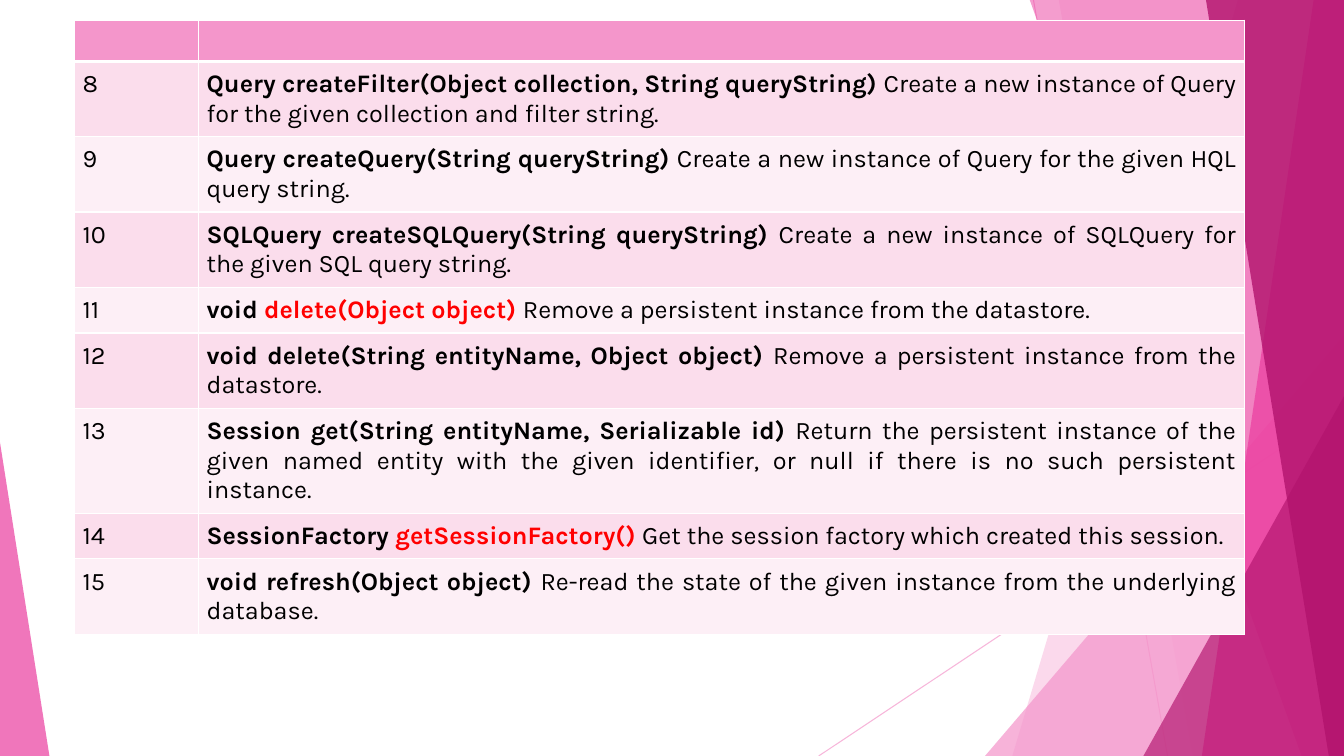
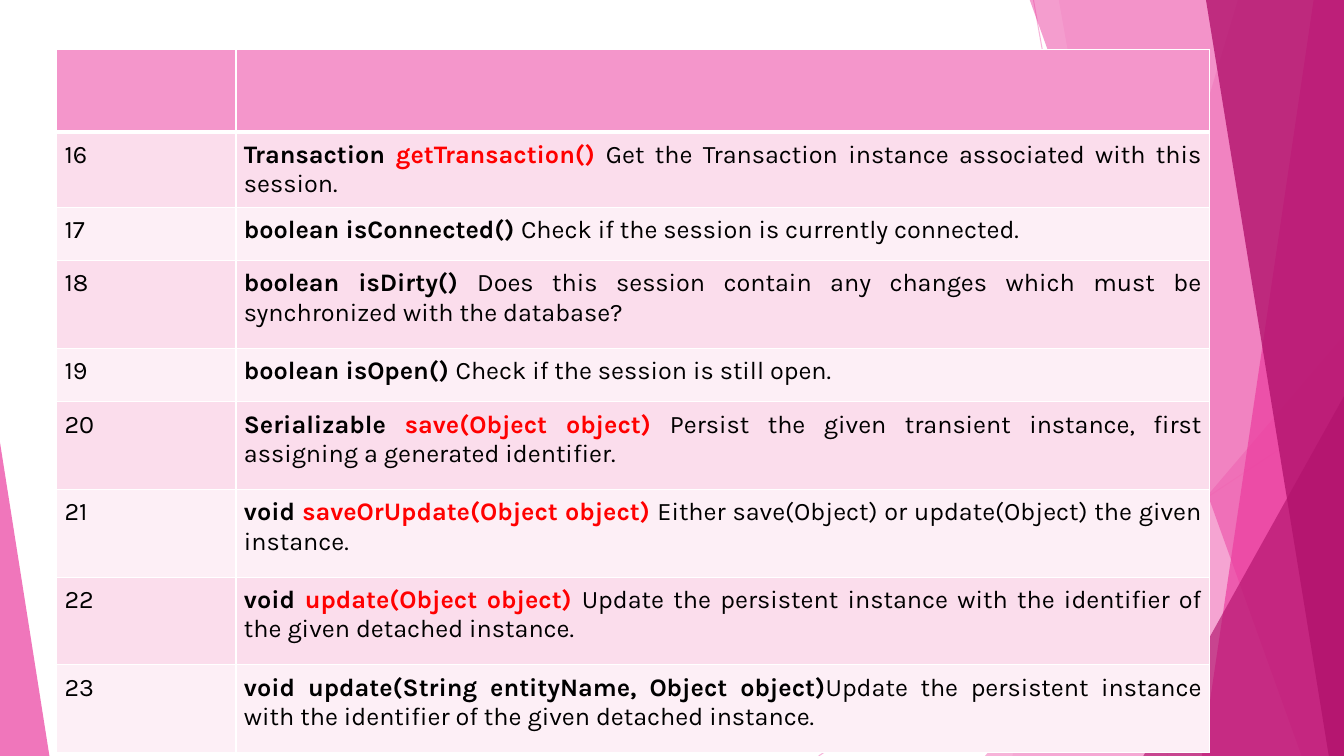
import pptx
import pptx.dml.color
import pptx.enum.shapes
import pptx.enum.text
import pptx.oxml.ns
import pptx.util
from lxml import etree

Inches = pptx.util.Inches
Pt = pptx.util.Pt
RGBColor = pptx.dml.color.RGBColor
qn = pptx.oxml.ns.qn

# Shared style
WHITE = RGBColor(0xFF, 0xFF, 0xFF)
BLACK = RGBColor(0, 0, 0)
RED = RGBColor(0xFF, 0, 0)
PINK = RGBColor(0xF4, 0x96, 0xCB)
ROSE = RGBColor(0xEB, 0x3D, 0x9F)
MAGENTA = RGBColor(0xB2, 0x13, 0x6D)
BAND_DARK = RGBColor(0xFB, 0xDD, 0xEC)
BAND_LIGHT = RGBColor(0xFD, 0xEF, 0xF6)
FONT = "Karla"
TEXT_SIZE = Pt(18)
CELL_MARGIN = Inches(0.08)
WIDTH, HEIGHT = 13.33, 7.5


class Deck:
    def __init__(self):
        self.presentation = pptx.Presentation()
        self.presentation.slide_width = Inches(WIDTH)
        self.presentation.slide_height = Inches(HEIGHT)
        self.slide = None

    def add_slide(self):
        self.slide = self.presentation.slides.add_slide(self.presentation.slide_layouts[6])
        self.slide.background.fill.solid()
        self.slide.background.fill.fore_color.rgb = WHITE
        self.decorate()

    def set_opacity(self, shape, percent):
        for color in shape.element.spPr.iter(qn("a:srgbClr")):
            etree.SubElement(color, qn("a:alpha"), val=str(percent * 1000))

    def paint(self, shape, color, opacity):
        shape.shadow.inherit = False
        shape.fill.solid()
        shape.fill.fore_color.rgb = color
        shape.line.fill.background()
        self.set_opacity(shape, opacity)

    def line(self, start_x, start_y, end_x, end_y):
        connector = self.slide.shapes.add_connector(
            pptx.enum.shapes.MSO_CONNECTOR.STRAIGHT,
            Inches(start_x), Inches(start_y), Inches(end_x), Inches(end_y))
        connector.line.color.rgb = PINK
        connector.line.width = Pt(0.75)
        self.set_opacity(connector, 70)
        etree.SubElement(connector.element.spPr, qn("a:effectLst"))

    def panel(self, top_x, bottom_x, color, opacity):
        """Full-height panel with a slanted left edge."""
        top, bottom, right = Inches(-0.01), Inches(HEIGHT), Inches(WIDTH)
        builder = self.slide.shapes.build_freeform(Inches(top_x), top)
        builder.add_line_segments([(right, top), (right, bottom), (Inches(bottom_x), bottom)])
        self.paint(builder.convert_to_shape(), color, opacity)

    def triangle(self, left, top, width, apex, color, opacity):
        """Triangle that stands on the bottom edge of the slide."""
        shape = self.slide.shapes.add_shape(
            pptx.enum.shapes.MSO_SHAPE.ISOSCELES_TRIANGLE,
            Inches(left), Inches(top), Inches(width), Inches(HEIGHT - top))
        shape.adjustments[0] = apex
        self.paint(shape, color, opacity)

    def decorate(self):
        self.line(10.25, 0, 11.58, HEIGHT)
        self.line(WIDTH, 4.03, 8.12, HEIGHT)
        self.panel(12.28, 10.04, PINK, 36)
        self.panel(10.5, 11.83, PINK, 20)
        self.triangle(9.77, 3.33, 3.56, 1, PINK, 72)
        self.panel(10.21, 12.91, ROSE, 50)
        self.panel(13.03, 11.92, ROSE, 70)
        self.panel(11.96, 13.18, MAGENTA, 80)
        self.triangle(11.34, 3.93, 1.99, 1, MAGENTA, 66)
        self.triangle(0, 4.39, 0.49, 0, ROSE, 70)

    def format_cell(self, cell, color, top_width, bottom_width):
        properties = cell._tc.get_or_add_tcPr()
        for side, width in (("L", 1), ("R", 1), ("T", top_width), ("B", bottom_width)):
            border = etree.SubElement(properties, qn("a:ln" + side), w=str(Pt(width)))
            fill = etree.SubElement(border, qn("a:solidFill"))
            etree.SubElement(fill, qn("a:srgbClr"), val=str(WHITE))
        cell.fill.solid()
        cell.fill.fore_color.rgb = color

    def write_cell(self, cell, runs):
        """Fill a cell with (text, bold, color) runs."""
        cell.margin_left = cell.margin_right = CELL_MARGIN
        cell.margin_top = cell.margin_bottom = CELL_MARGIN
        paragraph = cell.text_frame.paragraphs[0]
        paragraph.font.name = FONT
        paragraph.font.size = TEXT_SIZE
        paragraph.font.color.rgb = BLACK
        for text, bold, color in runs:
            if text:
                run = paragraph.add_run()
                run.text = text
                run.font.bold = bold
                run.font.color.rgb = color
        return paragraph

    def method_table(self, box, column_widths, row_heights, first_number, methods):
        """Numbered methods, each as (signature, highlighted part, description)."""
        frame = self.slide.shapes.add_table(
            len(methods) + 1, 2, *[Inches(length) for length in box])
        table = frame.table
        table.first_row = table.horz_banding = False
        for column, width in zip(table.columns, column_widths):
            column.width = Inches(width)
        for row, height in zip(table.rows, row_heights):
            row.height = Inches(height)
        frame.height = Inches(box[3])

        for cell in table.rows[0].cells:
            self.format_cell(cell, PINK, 1, 3)
        for index, (signature, highlight, description) in enumerate(methods, 1):
            number_cell, method_cell = table.rows[index].cells
            for cell in (number_cell, method_cell):
                self.format_cell(cell, BAND_DARK if index % 2 else BAND_LIGHT,
                                 3 if index == 1 else 1, 1)
            self.write_cell(number_cell, [(str(first_number + index - 1), False, BLACK)])
            paragraph = self.write_cell(method_cell, [
                (signature, True, BLACK), (highlight, True, RED), (description, False, BLACK)])
            paragraph.alignment = pptx.enum.text.PP_ALIGN.JUSTIFY


deck = Deck()

# Slide 1: methods 8 to 15
deck.add_slide()
deck.method_table((0.74, 0.2, 11.6, 6.24), (1.23, 10.37), [0.41] * 9, 8, [
    ("Query createFilter(Object collection, String queryString) ", "",
     "Create a new instance of Query for the given collection and filter string."),
    ("Query createQuery(String queryString) ", "",
     "Create a new instance of Query for the given HQL query string."),
    ("SQLQuery createSQLQuery(String queryString) ", "",
     "Create a new instance of SQLQuery for the given SQL query string."),
    ("void ", "delete(Object object) ",
     "Remove a persistent instance from the datastore."),
    ("void delete(String entityName, Object object) ", "",
     "Remove a persistent instance from the datastore."),
    ("Session get(String entityName, Serializable id) ", "",
     "Return the persistent instance of the given named entity with the given identifier, "
     "or null if there is no such persistent instance."),
    ("SessionFactory ", "getSessionFactory() ",
     "Get the session factory which created this session."),
    ("void refresh(Object object) ", "",
     "Re-read the state of the given instance from the underlying database."),
])

# Slide 2: methods 16 to 23
deck.add_slide()
deck.method_table(
    (0.56, 0.49, 11.44, 6.99), (1.78, 9.66),
    [0.82, 0.53, 0.53, 0.87, 0.53] + [0.87] * 4, 16, [
        ("Transaction ", "getTransaction() ",
         "Get the Transaction instance associated with this session."),
        ("boolean isConnected() ", "", "Check if the session is currently connected."),
        ("boolean isDirty() ", "",
         "Does this session contain any changes which must be synchronized with the database?"),
        ("boolean isOpen() ", "", "Check if the session is still open."),
        ("Serializable ", "save(Object object) ",
         "Persist the given transient instance, first assigning a generated identifier."),
        ("void ", "saveOrUpdate(Object object) ",
         "Either save(Object) or update(Object) the given instance."),
        ("void ", "update(Object object) ",
         "Update the persistent instance with the identifier of the given detached instance."),
        ("void update(String entityName, Object object)", "",
         "Update the persistent instance with the identifier of the given detached instance."),
    ])

deck.presentation.save("out.pptx")
